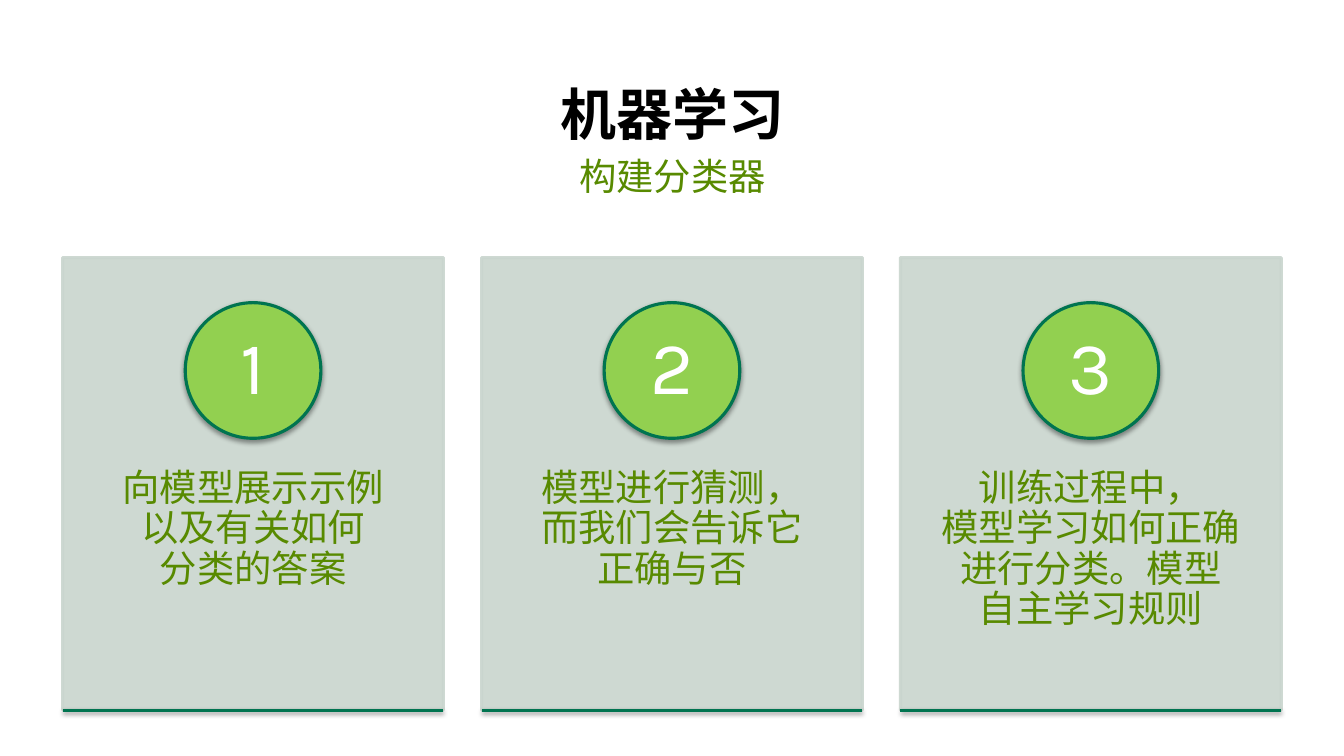
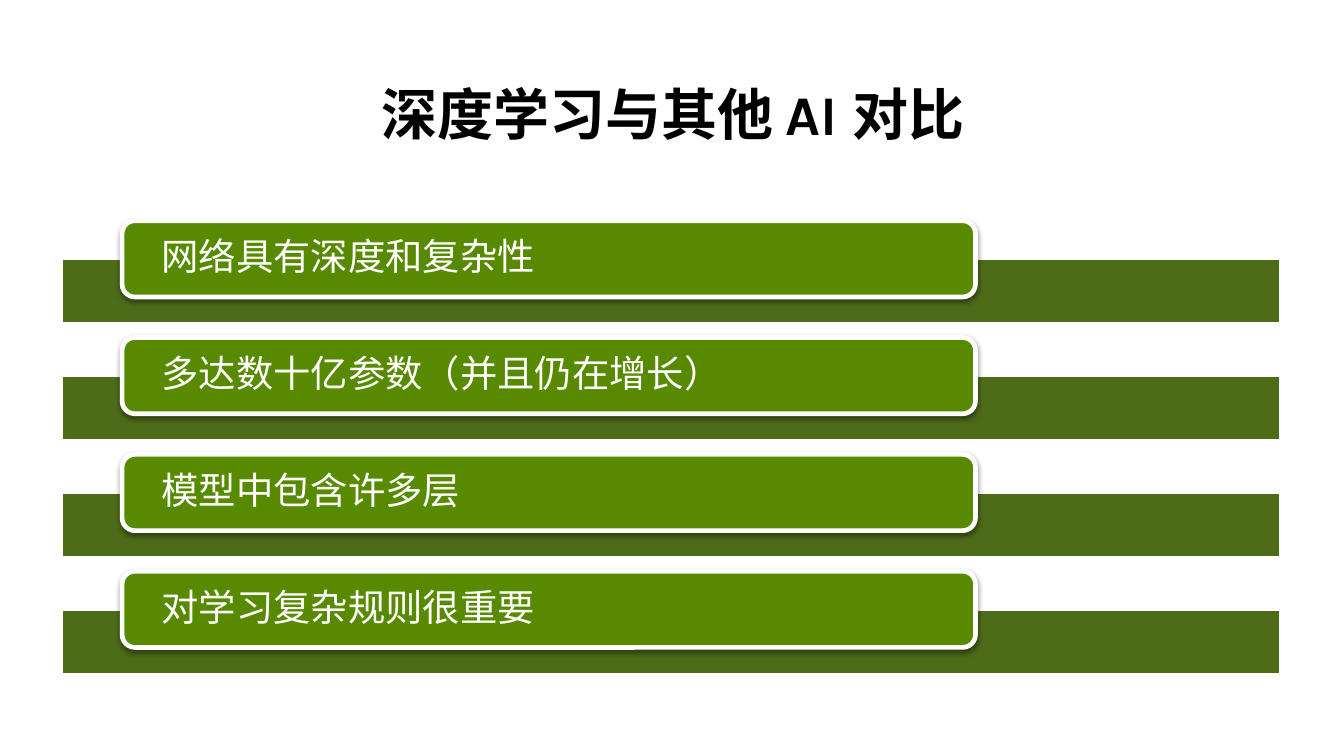
"""Build two slides on machine learning and deep learning."""
from dataclasses import dataclass

import pptx
import pptx.dml.color
import pptx.enum.shapes
import pptx.enum.text
import pptx.oxml
import pptx.oxml.ns
import pptx.util

Pt = pptx.util.Pt
Shape = pptx.enum.shapes.MSO_SHAPE
Align = pptx.enum.text.PP_ALIGN
Anchor = pptx.enum.text.MSO_ANCHOR

FONT = "Karla"
COLORS = {
    "black": "000000",
    "white": "FFFFFF",
    "green": "588A00",
    "lime": "92D050",
    "teal": "007450",
    "card": "C9D5CE",
    "band": "3B5C00",
}
NS = pptx.oxml.ns.nsdecls("a")
SHADE = (
    f'<a:effectLst {NS}><a:outerShdw blurRad="{Pt(3.1)}" dist="{Pt(1.6)}" '
    'dir="5400000" rotWithShape="0"><a:srgbClr val="000000">'
    '<a:alpha val="38000"/></a:srgbClr></a:outerShdw></a:effectLst>'
)


@dataclass(frozen=True)
class Box:
    left: float
    top: float
    width: float
    height: float

    def points(self) -> list:
        return [Pt(v) for v in (self.left, self.top, self.width, self.height)]


@dataclass(frozen=True)
class Style:
    size: float
    color: str
    bold: bool = False
    align: Align = Align.CENTER
    anchor: Anchor = Anchor.TOP
    side: float = 7.2
    edge: float = 3.6


@dataclass(frozen=True)
class Look:
    kind: Shape
    fill: str
    line: str
    weight: float
    solid: bool = True
    clear_line: bool = False
    shade: bool = False


TITLE = Style(36, "black", bold=True, anchor=Anchor.BOTTOM)
SUBTITLE = Style(24, "green")
STEP = Style(24, "green", side=19.4, edge=25.9)
NUMBER = Style(48, "white", anchor=Anchor.MIDDLE, side=6.5, edge=0.7)
POINT = Style(24, "white", align=Align.LEFT, anchor=Anchor.MIDDLE, side=23, edge=0)

CARD = Look(Shape.RECTANGLE, "card", "card", 2, solid=False, clear_line=True)
DISC = Look(Shape.OVAL, "lime", "teal", 2, shade=True)
BAND = Look(Shape.RECTANGLE, "band", "white", 2, solid=False)
PILL = Look(Shape.ROUNDED_RECTANGLE, "green", "white", 3, shade=True)

STEPS = [
    "向模型展示示例\n以及有关如何\n分类的答案",
    "模型进行猜测，\n而我们会告诉它\n正确与否",
    "训练过程中，\n模型学习如何正确进行分类。模型\n自主学习规则",
]
POINTS = [
    "网络具有深度和复杂性",
    "多达数十亿参数（并且仍在增长）",
    "模型中包含许多层",
    "对学习复杂规则很重要",
]


def rgb(name: str) -> pptx.dml.color.RGBColor:
    return pptx.dml.color.RGBColor.from_string(COLORS[name])


def fade(paint) -> None:
    for color in paint.iter(pptx.oxml.ns.qn("a:srgbClr")):
        color.append(pptx.oxml.parse_xml(f'<a:alpha {NS} val="90000"/>'))


def cast(shape) -> None:
    shape._element.spPr.append(pptx.oxml.parse_xml(SHADE))


def write(shape, text: str, style: Style) -> None:
    frame = shape.text_frame
    frame.word_wrap = True
    frame.vertical_anchor = style.anchor
    frame.margin_left = frame.margin_right = Pt(style.side)
    frame.margin_top = frame.margin_bottom = Pt(style.edge)
    para = frame.paragraphs[0]
    para.text = text
    para.alignment = style.align
    para.line_spacing = 0.9
    para.font.name = FONT
    para.font.size = Pt(style.size)
    para.font.bold = style.bold
    para.font.color.rgb = rgb(style.color)


def label(slide, box: Box, text: str, style: Style) -> None:
    write(slide.shapes.add_textbox(*box.points()), text, style)


def draw(slide, box: Box, look: Look):
    shape = slide.shapes.add_shape(look.kind, *box.points())
    shape.fill.solid()
    shape.fill.fore_color.rgb = rgb(look.fill)
    if not look.solid:
        fade(shape._element.spPr)
    shape.line.color.rgb = rgb(look.line)
    shape.line.width = Pt(look.weight)
    if look.clear_line:
        fade(shape.line._ln)
    if look.shade:
        cast(shape)
    else:
        shape.shadow.inherit = False
    return shape


def rule(slide, left: float, top: float, width: float) -> None:
    line = slide.shapes.add_connector(
        pptx.enum.shapes.MSO_CONNECTOR.STRAIGHT,
        Pt(left), Pt(top), Pt(left + width), Pt(top),
    )
    line.line.color.rgb = rgb("teal")
    line.line.width = Pt(2)
    cast(line)


def start(deck, title: str):
    slide = deck.slides.add_slide(deck.slide_layouts[6])
    label(slide, Box(39.6, 51.8, 785.5, 46.5), title, TITLE)
    return slide


def add_steps(deck) -> None:
    slide = start(deck, "机器学习")
    label(slide, Box(39.6, 98.2, 785.5, 41), "构建分类器", SUBTITLE)
    top, width, height, disc = 165.6, 244.8, 290.9, 87.2
    for i, text in enumerate(STEPS):
        left = 40.3 + i * 269.3
        draw(slide, Box(left, top, width, height), CARD)
        label(slide, Box(left, 275.8, width, 174.2), text, STEP)
        circle = Box(left + (width - disc) / 2, 194.6, disc, disc)
        write(draw(slide, circle, DISC), str(i + 1), NUMBER)
        rule(slide, left, top + height, width)


def add_points(deck) -> None:
    slide = start(deck, "深度学习与其他 AI 对比")
    for i, text in enumerate(POINTS):
        top = 141.9 + i * 75.1
        draw(slide, Box(39.6, top + 24.4, 783.4, 41.8), BAND)
        pill = draw(slide, Box(78.5, top, 548.6, 49), PILL)
        write(pill, text, POINT)


def main() -> None:
    deck = pptx.Presentation()
    deck.slide_width, deck.slide_height = Pt(864), Pt(486)
    add_steps(deck)
    add_points(deck)
    deck.save("out.pptx")


if __name__ == "__main__":
    main()
